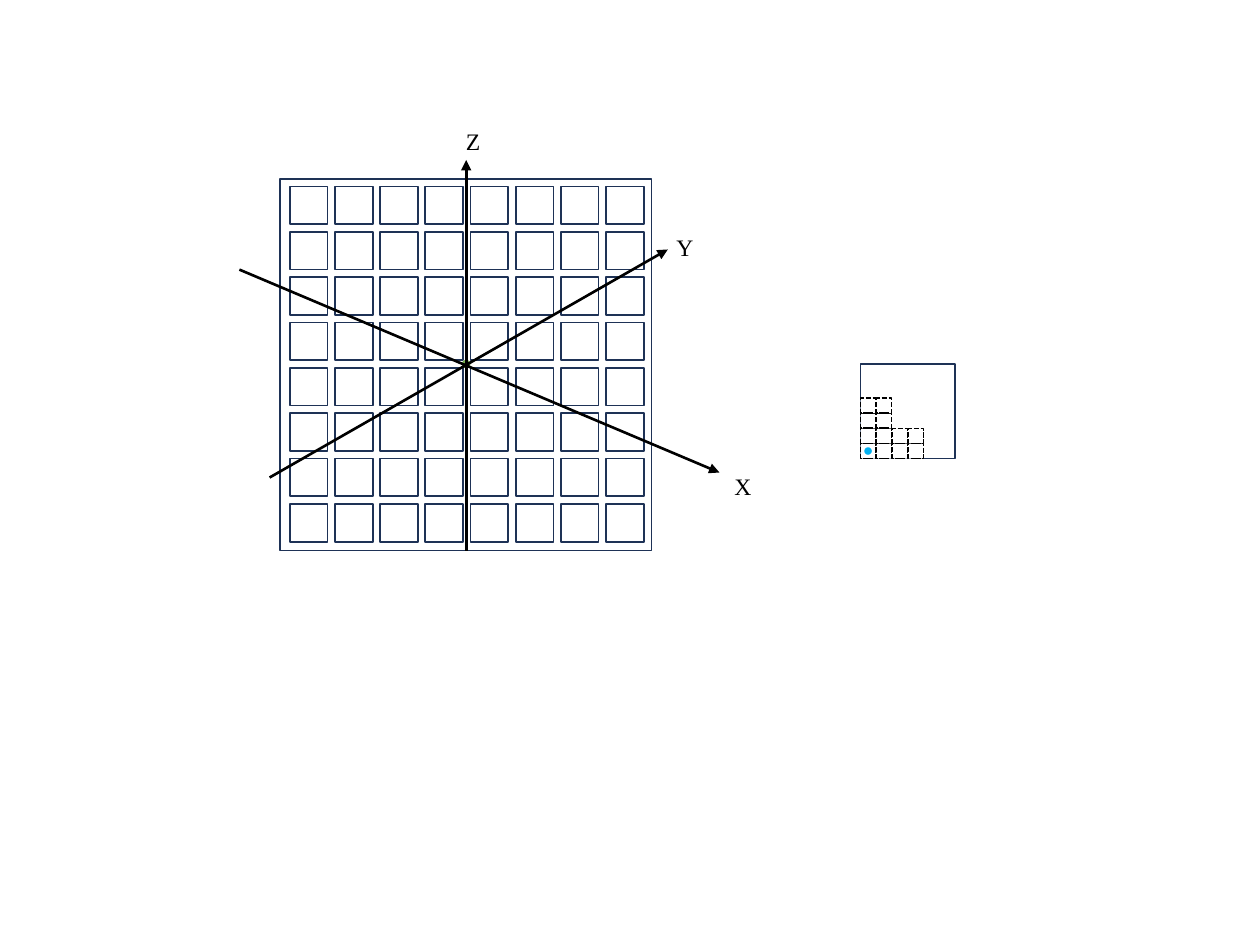
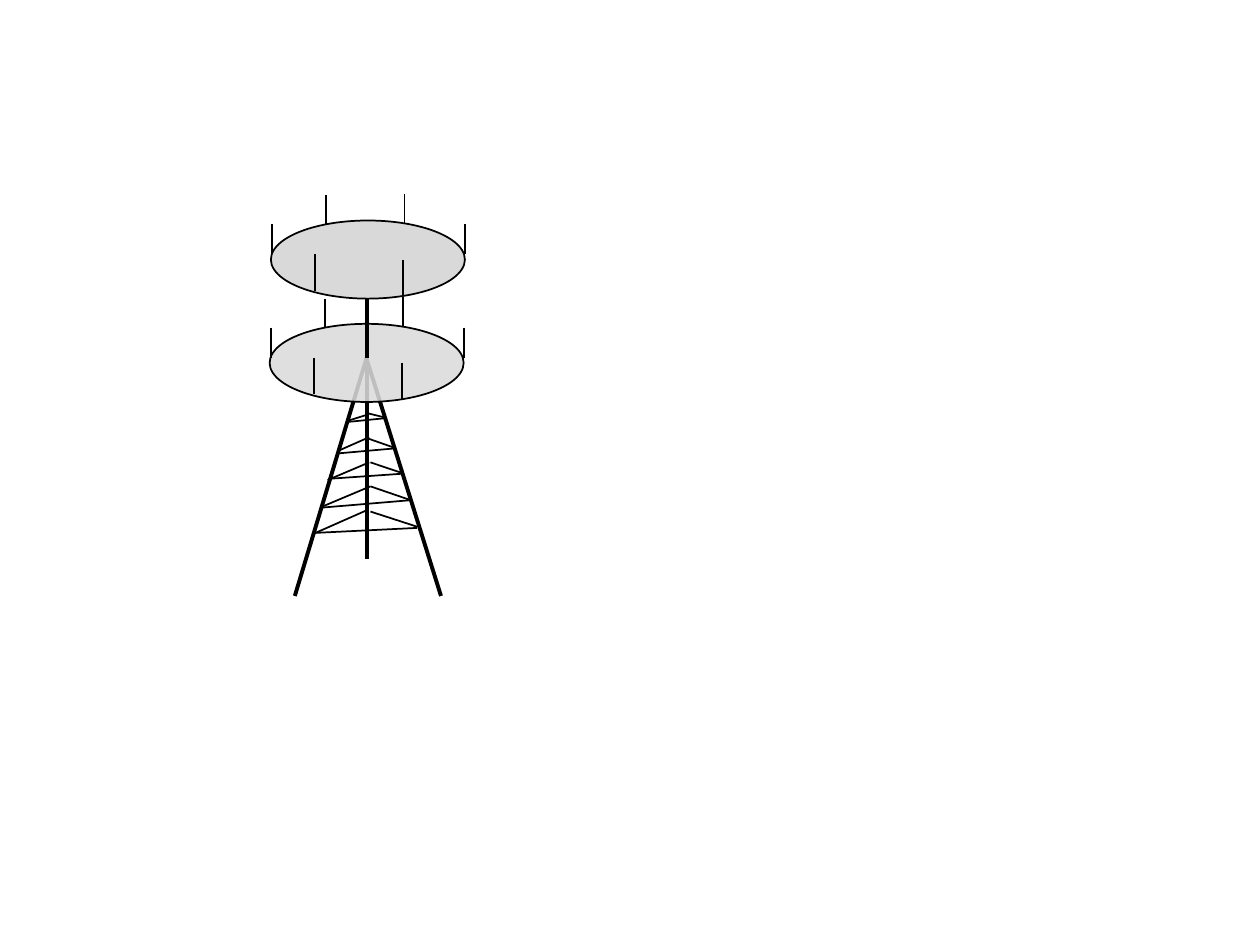
import pptx
import pptx.util
import pptx.dml.color
import pptx.enum.dml
import pptx.enum.shapes
import pptx.enum.text
import pptx.oxml
import pptx.oxml.ns

Inches = pptx.util.Inches
Pt = pptx.util.Pt
SHAPE = pptx.enum.shapes.MSO_SHAPE

COLORS = {
    "ink": "000000", "panel": "FFFFFF", "navy": "1E3256", "dot": "00B0F0",
    "upper_disk": "D9D9D9", "lower_disk": "DBDBDB",
    "origin_top": "81B861", "origin_bottom": "62A336", "origin_line": "70AD47",
}
FONT = "Times New Roman"
THIN, AXIS, MAST = 1, 1.5, 2.25

# Each antenna: x and top relative to its disk's box, then its length
ANTENNAS = [(0.01, 0.03, 0.24), (0.44, -0.2, 0.23), (1.05, 0.31, 0.29),
            (1.54, 0.03, 0.24), (0.35, 0.27, 0.29), (1.06, -0.21, 0.23)]

# Each tier, relative to the tower's top: left brace, right brace, front brace
BRACE_TIERS = [
    [(-0.15, 0.5, 0.01, 0.45), (0.01, 0.44, 0.13, 0.47), (-0.16, 0.51, 0.14, 0.48)],
    [(-0.23, 0.74, 0.02, 0.63), (0.01, 0.64, 0.21, 0.71), (-0.24, 0.76, 0.21, 0.72)],
    [(-0.31, 0.97, 0.02, 0.83), (0.03, 0.83, 0.27, 0.91), (-0.3, 0.96, 0.28, 0.92)],
    [(-0.35, 1.18, 0.03, 1.02), (0.03, 1.02, 0.35, 1.13), (-0.37, 1.19, 0.35, 1.13)],
    [(-0.43, 1.4, 0, 1.21), (0.03, 1.22, 0.4, 1.34), (-0.42, 1.39, 0.4, 1.35)],
]
LEGS = [(0, 0.05, 0, 1.6), (0, 0, -0.57, 1.89), (0, 0.01, 0.59, 1.89)]


def rgb(name):
    return pptx.dml.color.RGBColor.from_string(COLORS[name])


def set_all(target, formats):
    for name, value in formats.items():
        setattr(target, name, value)


def add_figure(shapes, kind, box, fill=None, line=None, width=THIN):
    figure = shapes.add_shape(kind, *map(Inches, box))
    figure.shadow.inherit = False
    if fill:
        figure.fill.solid()
        figure.fill.fore_color.rgb = rgb(fill)
    else:
        figure.fill.background()
    if line:
        figure.line.color.rgb = rgb(line)
        figure.line.width = Pt(width)
    else:
        figure.line.fill.background()
    return figure


def add_line(shapes, ends, width=THIN, arrow=False):
    straight = pptx.enum.shapes.MSO_CONNECTOR.STRAIGHT
    connector = shapes.add_connector(straight, *map(Inches, ends))
    connector.line.color.rgb = rgb("ink")
    connector.line.width = Pt(width)
    if arrow:
        pptx.oxml.ns.qn("a:tailEnd")
        head = pptx.oxml.parse_xml(
            f'<a:tailEnd {pptx.oxml.ns.nsdecls("a")} type="triangle"/>')
        connector.line._get_or_add_ln().append(head)
    connector._element.spPr.append(
        pptx.oxml.parse_xml(f'<a:effectLst {pptx.oxml.ns.nsdecls("a")}/>'))


def add_axis_label(page, letter, left, top):
    box = page.shapes.add_textbox(*map(Inches, (left, top, 0.23, 0.33)))
    set_all(box.text_frame, {
        "word_wrap": True, "margin_left": Inches(0.08), "margin_right": 0,
        "margin_top": Inches(0.05), "margin_bottom": Inches(0.05)})
    para = box.text_frame.paragraphs[0]
    para.alignment = pptx.enum.text.PP_ALIGN.CENTER
    span = para.add_run()
    span.text = letter
    set_all(span.font, {"name": FONT, "size": Pt(13.5)})
    span.font.color.rgb = rgb("ink")


def add_array_panel(page, left, top, side, count=8):
    """Square panel of count x count elements, marked at its centre."""
    shapes = page.shapes.add_group_shape().shapes
    add_figure(shapes, SHAPE.RECTANGLE, (left, top, side, side), "panel", "navy")
    across, down = 2.51 / (count - 1), 2.52 / (count - 1)
    for row in range(count):
        for column in range(count):
            box = (left + 0.08 + column * across, top + 0.06 + row * down, 0.3, 0.3)
            add_figure(shapes, SHAPE.RECTANGLE, box, "panel", "navy")
    origin = add_figure(shapes, SHAPE.OVAL,
                        (left + 1.45, top + 1.44, 0.06, 0.06),
                        line="origin_line", width=0.5)
    origin.fill.gradient()
    origin.fill.gradient_angle = 270
    for stop, name in zip(origin.fill.gradient_stops, ("origin_top", "origin_bottom")):
        stop.color.rgb = rgb(name)


def add_axes(page, x, y):
    """Three arrows that cross at x, y, with their letters."""
    axes = [("Y", (-1.56, 0.93, 1.6, -0.88), (1.58, -1.06)),
            ("Z", (0, 1.51, 0, -1.59), (-0.1, -1.9)),
            ("X", (-1.8, -0.72, 2.01, 0.89), (2.04, 0.84))]
    for letter, (x1, y1, x2, y2), (dx, dy) in axes:
        add_line(page.shapes, (x + x1, y + y1, x + x2, y + y2), AXIS, arrow=True)
        add_axis_label(page, letter, x + dx, y + dy)


def add_element_detail(page, left, top, side):
    """One element with dashed cells stacked from its lower left corner."""
    shapes = page.shapes.add_group_shape().shapes
    add_figure(shapes, SHAPE.RECTANGLE, (left, top, side, side), line="navy")
    cell, across = 0.12, 0.38 / 3
    floor = top + side - cell
    for row, columns in enumerate((4, 4, 2, 2)):
        for column in range(columns):
            box = (left + column * across, floor - row * cell, cell, cell)
            square = add_figure(shapes, SHAPE.RECTANGLE, box, "panel", "ink")
            square.line.dash_style = pptx.enum.dml.MSO_LINE.SQUARE_DOT
    add_figure(shapes, SHAPE.OVAL, (left + 0.03, floor + 0.03, 0.06, 0.06), "dot")


def add_antenna_disk(shapes, left, top, fill, opacity=100):
    disk = add_figure(shapes, SHAPE.OVAL, (left, top, 1.54, 0.62), fill, "ink")
    if opacity < 100:
        color = disk._element.spPr.find(".//" + pptx.oxml.ns.qn("a:srgbClr"))
        color.append(pptx.oxml.parse_xml(
            f'<a:alpha {pptx.oxml.ns.nsdecls("a")} val="{opacity * 1000}"/>'))
    for x, y, length in ANTENNAS:
        add_line(shapes, (left + x, top + y, left + x, top + y + length))


def add_tower(page, x, y):
    """Braced tower whose legs meet at x, y, carrying two antenna disks."""
    shapes = page.shapes.add_group_shape().shapes

    def add_strut(ends, width):
        x1, y1, x2, y2 = ends
        add_line(shapes, (x + x1, y + y1, x + x2, y + y2), width)

    for leg in LEGS:
        add_strut(leg, MAST)
    for braces in zip(*BRACE_TIERS):
        for brace in braces:
            add_strut(brace, THIN)
    add_antenna_disk(shapes, x - 0.77, y - 0.27, "lower_disk", 87)
    add_strut((0, -0.8, 0, 0), MAST)
    add_antenna_disk(shapes, x - 0.76, y - 1.09, "upper_disk")


def build_array_slide(page):
    add_array_panel(page, 2.22, 1.42, 2.95)
    add_axes(page, 3.7, 2.86)
    add_element_detail(page, 6.83, 2.89, 0.75)


def build_tower_slide(page):
    add_tower(page, 2.91, 2.84)


def main():
    deck = pptx.Presentation()
    set_all(deck, {"slide_width": Inches(10), "slide_height": Inches(7.5)})
    for build in (build_array_slide, build_tower_slide):
        build(deck.slides.add_slide(deck.slide_layouts[6]))
    deck.save("out.pptx")


if __name__ == "__main__":
    main()
